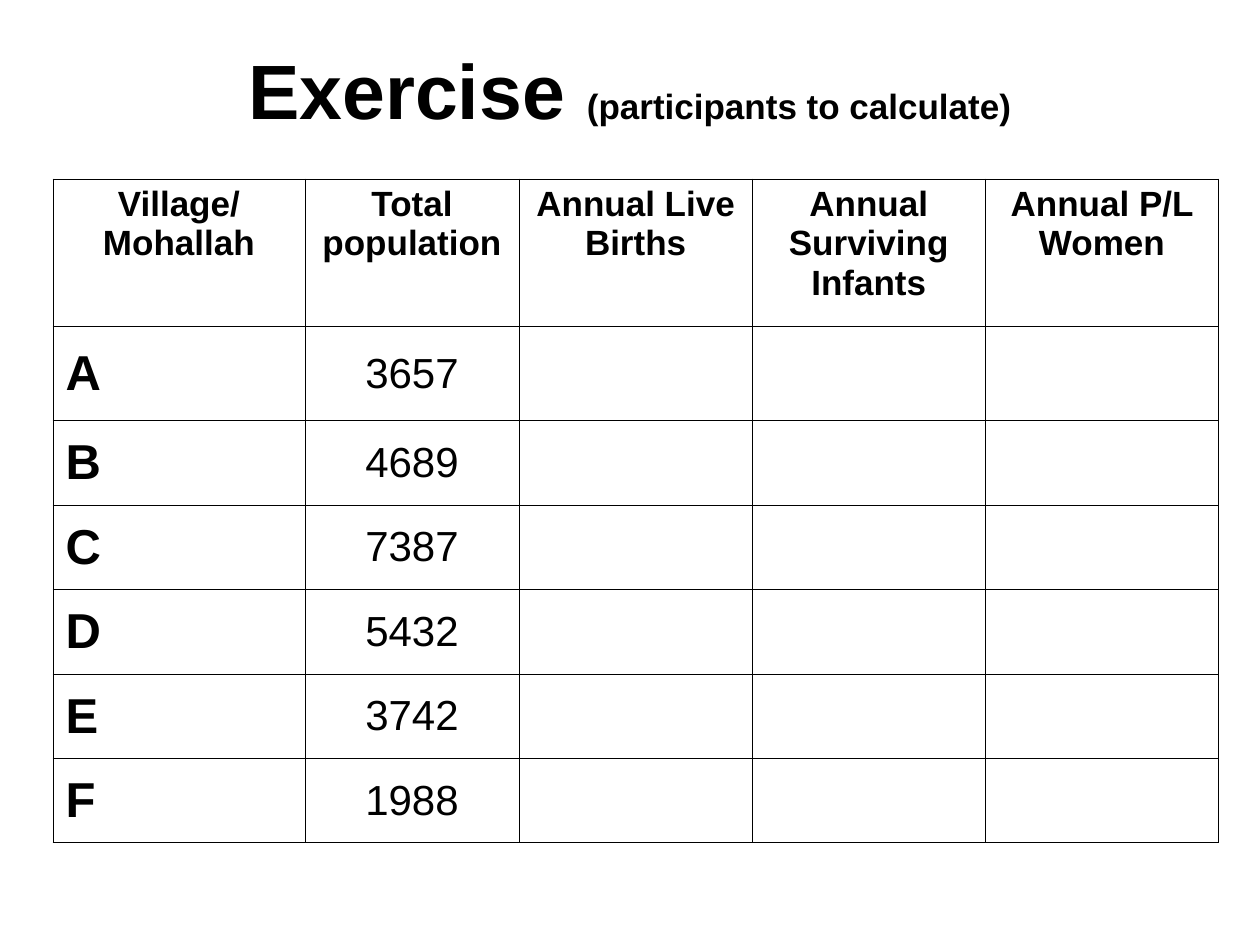
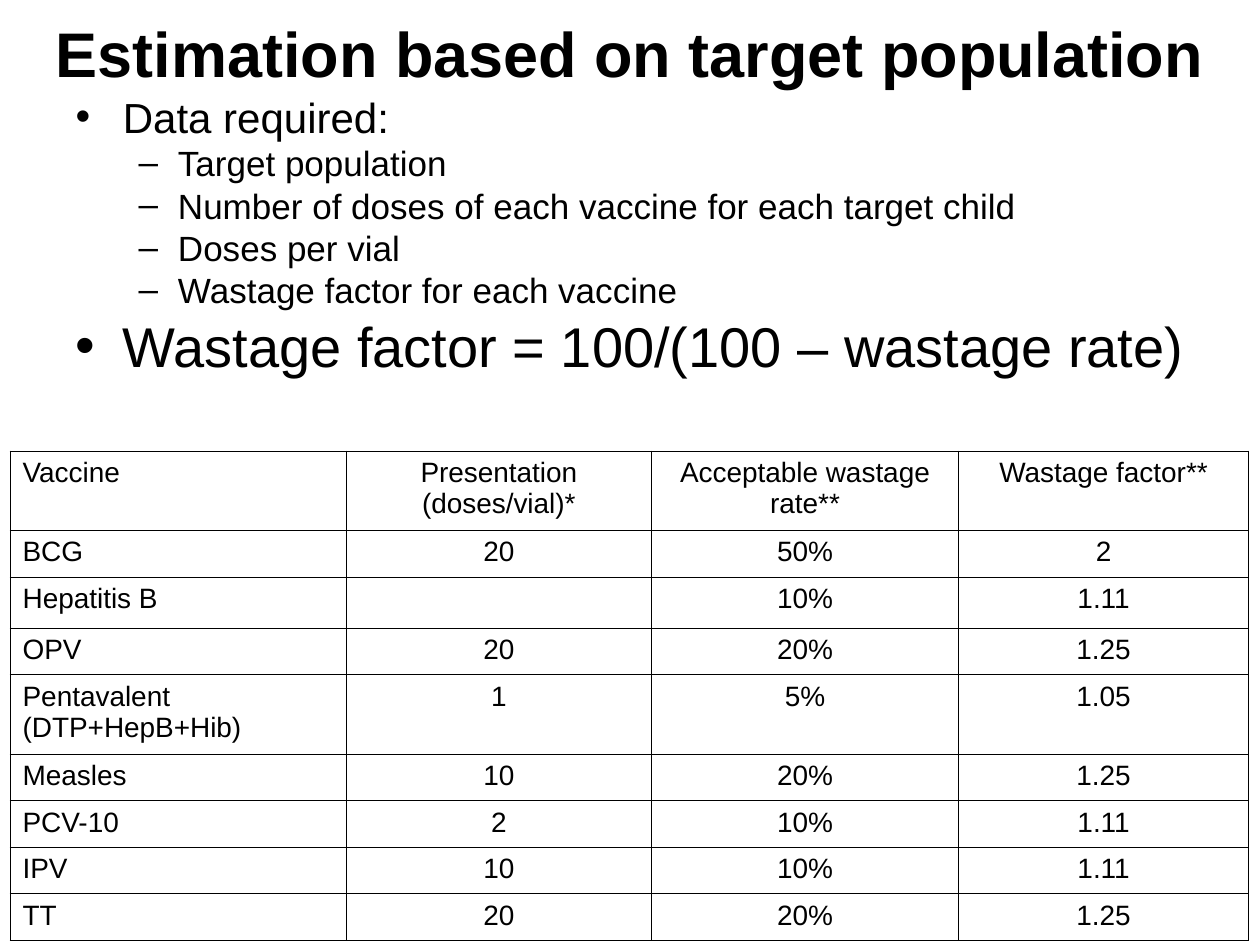
from lxml.etree import SubElement
from pptx import Presentation
from pptx.dml.color import RGBColor
from pptx.enum.text import MSO_ANCHOR, MSO_AUTO_SIZE, PP_ALIGN
from pptx.oxml.ns import qn
from pptx.util import Inches, Pt

FONT = "Arial"
BLACK = "000000"
BORDER_PT = 0.45


def style(p, size, bold=False, align=None):
    """Format a paragraph and all its runs."""
    p.alignment = align
    for r in p.runs:
        r.font.name = FONT
        r.font.size = Pt(size)
        r.font.bold = bold
        r.font.color.rgb = RGBColor.from_string(BLACK)


def add_grid(slide, left, top, col_widths, row_heights, rows):
    """Add an unfilled table with thin borders on every cell."""
    frame = slide.shapes.add_table(
        len(rows), len(col_widths), Inches(left), Inches(top),
        Inches(sum(col_widths)), Inches(sum(row_heights)))
    table = frame.table
    table.first_row = table.horz_banding = False
    for column, width in zip(table.columns, col_widths):
        column.width = Inches(width)
    for row, height, texts in zip(table.rows, row_heights, rows):
        row.height = Inches(height)
        for cell, text in zip(row.cells, texts):
            if text:
                cell.text_frame.text = text
            tcPr = cell._tc.get_or_add_tcPr()
            for side in ("a:lnL", "a:lnR", "a:lnT", "a:lnB"):
                ln = SubElement(tcPr, qn(side), w=str(Pt(BORDER_PT)))
                fill = SubElement(ln, qn("a:solidFill"))
                SubElement(fill, qn("a:srgbClr"), val=BLACK)
            cell.fill.background()
    return table


prs = Presentation()
prs.slide_width, prs.slide_height = Inches(10), Inches(7.5)

titles = [
    # layout, position, title runs with sizes
    ("Title Only", (0.5, 0.08, 9, 1.25),
     [("Exercise ", 44), ("(participants to calculate)", 20)]),
    ("Title and Content", (0, 0, 10, 0.83),
     [("Estimation based on target population", 36)]),
]
slides = []
for layout, box, runs in titles:
    s = prs.slides.add_slide(prs.slide_layouts.get_by_name(layout))
    title = s.shapes.title
    title.left, title.top, title.width, title.height = map(Inches, box)
    tf = title.text_frame
    tf.auto_size = MSO_AUTO_SIZE.NONE
    tf.vertical_anchor = MSO_ANCHOR.MIDDLE
    p = tf.paragraphs[0]
    for text, _ in runs:
        p.add_run().text = text
    style(p, 44, True, PP_ALIGN.CENTER)
    for r, (_, size) in zip(p.runs, runs):
        r.font.size = Pt(size)
    slides.append(s)
exercise, estimation = slides

# Slide 1: population exercise
populations = [("A", "3657"), ("B", "4689"), ("C", "7387"),
               ("D", "5432"), ("E", "3742"), ("F", "1988")]
headers = ("Village/ Mohallah", "Total population", "Annual Live Births",
           "Annual Surviving Infants", "Annual P/L Women")
table = add_grid(exercise, 0.42, 1.42, [2, 1.7] + [1.85] * 3,
                 [1.17, 0.75] + [0.67] * 5,
                 [headers] + [(*row, "", "", "") for row in populations])
for cell in table.rows[0].cells:
    style(cell.text_frame.paragraphs[0], 20, True, PP_ALIGN.CENTER)
for i in range(1, len(table.rows)):
    village, population = table.cell(i, 0), table.cell(i, 1)
    village.vertical_anchor = population.vertical_anchor = MSO_ANCHOR.MIDDLE
    style(village.text_frame.paragraphs[0], 28, True)
    style(population.text_frame.paragraphs[0], 24, False, PP_ALIGN.CENTER)

# Slide 2: data required and wastage factors
body = estimation.placeholders[1]
body.left, body.top, body.width, body.height = map(Inches, (0.5, 0.75, 9.25, 2.47))
items = [
    # text, level, size, space before
    ("Data required:", 0, 24, 6),
    ("Target population", 1, 20, 5),
    ("Number of doses of each vaccine for each target child", 1, 20, 5),
    ("Doses per vial", 1, 20, 5),
    ("Wastage factor for each vaccine", 1, 20, 5),
    ("Wastage factor = 100/(100 – wastage rate)", 0, 32, 8),
]
tf = body.text_frame
tf.auto_size = MSO_AUTO_SIZE.NONE
tf.text = "\n".join(item[0] for item in items)
for p, (_, level, size, before) in zip(tf.paragraphs, items):
    p.level = level
    p.line_spacing = 0.8
    p.space_before = Pt(before)
    style(p, size)

vaccines = [
    ("Vaccine", "Presentation (doses/vial)*", "Acceptable wastage rate**",
     "Wastage factor**"),
    ("BCG", "20", "50%", "2"),
    ("Hepatitis B", "", "10%", "1.11"),
    ("OPV", "20", "20%", "1.25"),
    ("Pentavalent\n(DTP+HepB+Hib)", "1", "5%", "1.05"),
    ("Measles", "10", "20%", "1.25"),
    ("PCV-10", "2", "10%", "1.11"),
    ("IPV", "10", "10%", "1.11"),
    ("TT", "20", "20%", "1.25"),
]
heights = [0.63 if i in (0, 4) else 0.37 for i in range(len(vaccines))]
table = add_grid(estimation, 0.08, 3.58, [2.67, 2.42, 2.44, 2.3], heights, vaccines)
for row in table.rows:
    for j, cell in enumerate(row.cells):
        for p in cell.text_frame.paragraphs:
            style(p, 16, False, PP_ALIGN.CENTER if j else PP_ALIGN.LEFT)

prs.save("out.pptx")
